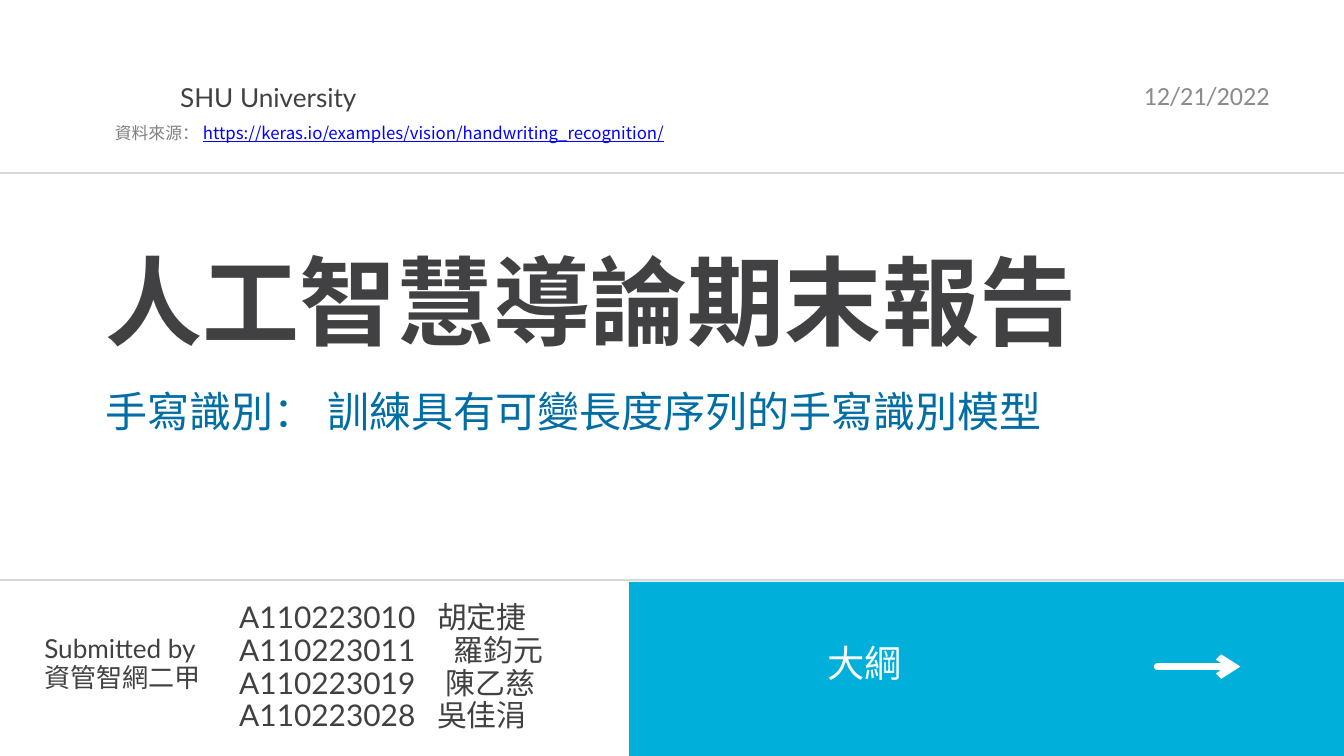
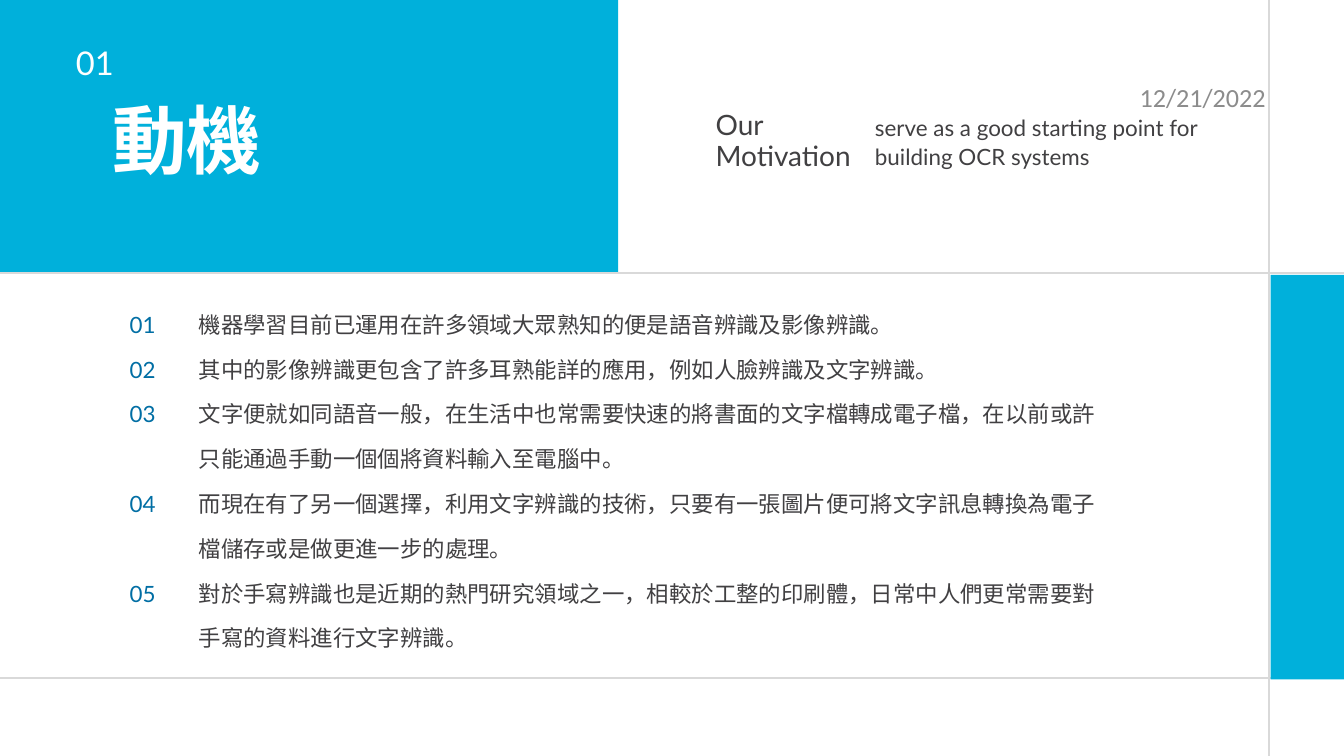
from dataclasses import dataclass

from lxml.etree import SubElement
from pptx import Presentation
from pptx.dml.color import RGBColor
from pptx.enum.shapes import MSO_CONNECTOR as Link, MSO_SHAPE as Form
from pptx.enum.text import MSO_ANCHOR as Anchor, MSO_AUTO_SIZE as Fit, PP_ALIGN as Align
from pptx.oxml.ns import qn
from pptx.util import Pt

WIDE, HIGH = 1440, 810
CYAN = RGBColor(0x00, 0xB0, 0xDB)
BLUE = RGBColor(0x00, 0x6E, 0xA4)
DARK = RGBColor(0x41, 0x40, 0x42)
GRAY = RGBColor(0x80, 0x80, 0x80)
SILVER = RGBColor(0x8C, 0x8C, 0x8C)
RULE = RGBColor(0xD9, 0xD9, 0xD9)
URL = RGBColor(0x00, 0x00, 0xFF)
WHITE = RGBColor(0xFF, 0xFF, 0xFF)

LATO, ARIAL, NOTO = "Lato", "Arial", "Noto Sans CJK SC"
DATE = "12/21/2022"


@dataclass(frozen=True)
class Style:
    face: str
    size: float
    color: RGBColor
    bold: bool = False
    under: bool = False


@dataclass(frozen=True)
class Piece:
    text: str
    style: Style


@dataclass(frozen=True)
class Para:
    pieces: tuple[Piece, ...]
    lead: float | None = None
    before: float = 0
    tab: float | None = None


@dataclass(frozen=True)
class Box:
    x: float
    y: float
    w: float
    h: float


@dataclass(frozen=True)
class Label:
    box: Box
    paras: tuple[Para, ...]


LABEL = Style(LATO, 28, DARK)
CODE = Style(LATO, 32, DARK)
NAME = Style(ARIAL, 32, DARK)
BODY = Style(ARIAL, 24, DARK)
NUMBER = Style(LATO, 24, BLUE)
NOTE = Style(NOTO, 18, GRAY)
STEP = 48  # line pitch of the numbered list

TEAM = (("A110223010", "胡定捷", 212), ("A110223011", "羅鈞元", 230),
        ("A110223019", "陳乙慈", 221), ("A110223028", "吳佳涓", 212))

# Each point with the number of lines it fills
POINTS = (
    ("機器學習目前已運用在許多領域大眾熟知的便是語音辨識及影像辨識。", 1),
    ("其中的影像辨識更包含了許多耳熟能詳的應用，例如人臉辨識及文字辨識。", 1),
    ("文字便就如同語音一般，在生活中也常需要快速的將書面的文字檔轉成電子檔，"
     "在以前或許只能通過手動一個個將資料輸入至電腦中。", 2),
    ("而現在有了另一個選擇，利用文字辨識的技術，只要有一張圖片便可將文字訊息"
     "轉換為電子檔儲存或是做更進一步的處理。", 2),
    ("對於手寫辨識也是近期的熱門研究領域之一，相較於工整的印刷體，日常中人們"
     "更常需要對手寫的資料進行文字辨識。", 2),
)


def plain(text: str, style: Style, lead: float, before: float = 0) -> Para:
    return Para((Piece(text, style),), lead, before)


def count(points) -> tuple[Para, ...]:
    """Number the points, leaving room for the wrapped lines of the one before."""
    gaps = [0] + [(lines - 1) * STEP for _, lines in points[:-1]]
    return tuple(plain(f"{i:02}", NUMBER, STEP, gap) for i, gap in enumerate(gaps, 1))


def place(shape, box: Box) -> None:
    for key, value in zip(("left", "top", "width", "height"),
                          (box.x, box.y, box.w, box.h)):
        setattr(shape, key, Pt(value))


def write(frame, paras: tuple[Para, ...]) -> None:
    for i, para in enumerate(paras):
        line = frame.paragraphs[0] if i == 0 else frame.add_paragraph()
        line.alignment = Align.LEFT
        line.space_before = Pt(para.before)
        if para.lead:
            line.line_spacing = Pt(para.lead)
        if para.tab:
            tabs = SubElement(line._p.get_or_add_pPr(), qn("a:tabLst"))
            SubElement(tabs, qn("a:tab"), pos=str(Pt(para.tab)), algn="l")
        for piece in para.pieces:
            run, style = line.add_run(), piece.style
            run.text = piece.text
            look = {"name": style.face, "size": Pt(style.size),
                    "bold": style.bold, "underline": style.under}
            for key, value in look.items():
                setattr(run.font, key, value)
            run.font.color.rgb = style.color
            SubElement(run._r.get_or_add_rPr(), qn("a:ea"), typeface=style.face)


def fill(shape, label: Label, pad: tuple[float, float] = (0, 0),
         anchor: Anchor = Anchor.TOP, fit: Fit = Fit.SHAPE_TO_FIT_TEXT) -> None:
    frame = shape.text_frame
    side, edge = map(Pt, pad)
    setup = {"word_wrap": True, "auto_size": fit, "vertical_anchor": anchor,
             "margin_left": side, "margin_right": side,
             "margin_top": edge, "margin_bottom": edge}
    for key, value in setup.items():
        setattr(frame, key, value)
    write(frame, label.paras)


def add_text(slide, label: Label, **setup) -> None:
    shape = slide.shapes.add_textbox(0, 0, 0, 0)
    place(shape, label.box)
    fill(shape, label, **setup)


def add_title(slide, label: Label) -> None:
    """Format the title and bring it in front of the blocks."""
    title = slide.shapes.title
    place(title, label.box)
    fill(title, label)
    slide.shapes._spTree.append(title._element)


def add_date(slide, x: float, y: float) -> None:
    style = Style("Calibri", 28, SILVER)
    add_text(slide, Label(Box(x, y, 168, 29), (Para((Piece(DATE, style),)),)),
             pad=(7.2, 3.6), anchor=Anchor.MIDDLE, fit=Fit.NONE)


def add_block(slide, box: Box) -> None:
    block = slide.shapes.add_shape(Form.RECTANGLE, 0, 0, 0, 0)
    place(block, box)
    block.shadow.inherit = False
    block.fill.solid()
    block.fill.fore_color.rgb = CYAN
    block.line.fill.background()


def add_line(slide, x1: float, y1: float, x2: float, y2: float,
             color: RGBColor = RULE, width: float = 2.25):
    line = slide.shapes.add_connector(Link.STRAIGHT, *map(Pt, (x1, y1, x2, y2)))
    line.line.color.rgb = color
    line.line.width = Pt(width)
    SubElement(line._element.spPr, qn("a:effectLst"))
    return line


def add_arrow(slide, x1: float, x2: float, y: float) -> None:
    stroke = add_line(slide, x1, y, x2, y, WHITE, 7.5).line._get_or_add_ln()
    stroke.set("cap", "rnd")
    SubElement(stroke, qn("a:round"))
    SubElement(stroke, qn("a:tailEnd"), type="arrow")


def cover(slide) -> None:
    add_block(slide, Box(674, 623.5, WIDE - 674, HIGH - 623.5))
    for y in (185, 621.5):
        add_line(slide, 0, y, WIDE, y)
    add_title(slide, Label(Box(113, 279.4, 1064, 105), (
        plain("人工智慧導論期末報告", Style(NOTO, 104, DARK, bold=True), 104),)))
    team = tuple(Para((Piece(f"{code}\t", CODE), Piece(name, NAME)), 35.2, tab=tab)
                 for code, name, tab in TEAM)
    labels = (
        Label(Box(256.3, 644.4, 403, 141), team),
        Label(Box(113, 412.6, 1008, 55), (
            plain("手寫識別： 訓練具有可變長度序列的手寫識別模型",
                  Style(ARIAL, 45, BLUE), 54),)),
        Label(Box(47.5, 680.4, 195, 63), (
            plain("Submitted by", LABEL, 30.8),
            plain("資管智網二甲", Style(NOTO, 28, DARK), 30.8))),
        Label(Box(886.3, 703.4, 126, 32), (
            plain("大綱", Style(NOTO, 40, WHITE), 30.8),)),
        Label(Box(193, 90, 323, 31), (plain("SHU University", LABEL, 30.8),)),
    )
    for label in labels:
        add_text(slide, label)
    add_text(slide, Label(Box(116, 127.4, 613, 29), (Para((
        Piece("資料來源：", NOTE),
        Piece("https://keras.io/examples/vision/handwriting_recognition/",
              Style(NOTO, 18, URL, under=True)))),)), pad=(7.2, 3.6))
    add_arrow(slide, 1240, 1329, 714.2)
    add_date(slide, 1218.2, 87)


def motive(slide) -> None:
    add_block(slide, Box(0, 0, 662.4, 292.3))
    for y in (292.3, 726.5):
        add_line(slide, 0, y, WIDE, y)
    add_line(slide, 1360, 0, 1360, HIGH)
    add_block(slide, Box(1361.5, 294.5, WIDE - 1361.5, 433.5))
    add_title(slide, Label(Box(120.2, 108.7, 491, 91), (
        plain("動機", Style(ARIAL, 80, WHITE, bold=True), 88),)))
    labels = (
        Label(Box(213, 314, 973, 379), tuple(
            plain(text, BODY, STEP) for text, _ in POINTS)),
        Label(Box(139, 314, 74, 332), count(POINTS)),
        Label(Box(937.4, 119.5, 370, 61), (
            plain("serve as a good starting point for building OCR systems",
                  Style(LATO, 24, DARK), 31.2),)),
        Label(Box(766.8, 118, 171, 68), (
            plain("Our Motivation", Style(LATO, 30, DARK), 33),)),
        Label(Box(81.4, 18, 95, 63), (plain("01", Style(LATO, 35, WHITE), 70),)),
    )
    for label in labels:
        add_text(slide, label)
    add_date(slide, 1214, 89.3)


def main() -> None:
    deck = Presentation()
    deck.slide_width, deck.slide_height = Pt(WIDE), Pt(HIGH)
    for draw in (cover, motive):
        draw(deck.slides.add_slide(deck.slide_layouts[5]))
    deck.save("out.pptx")


if __name__ == "__main__":
    main()
